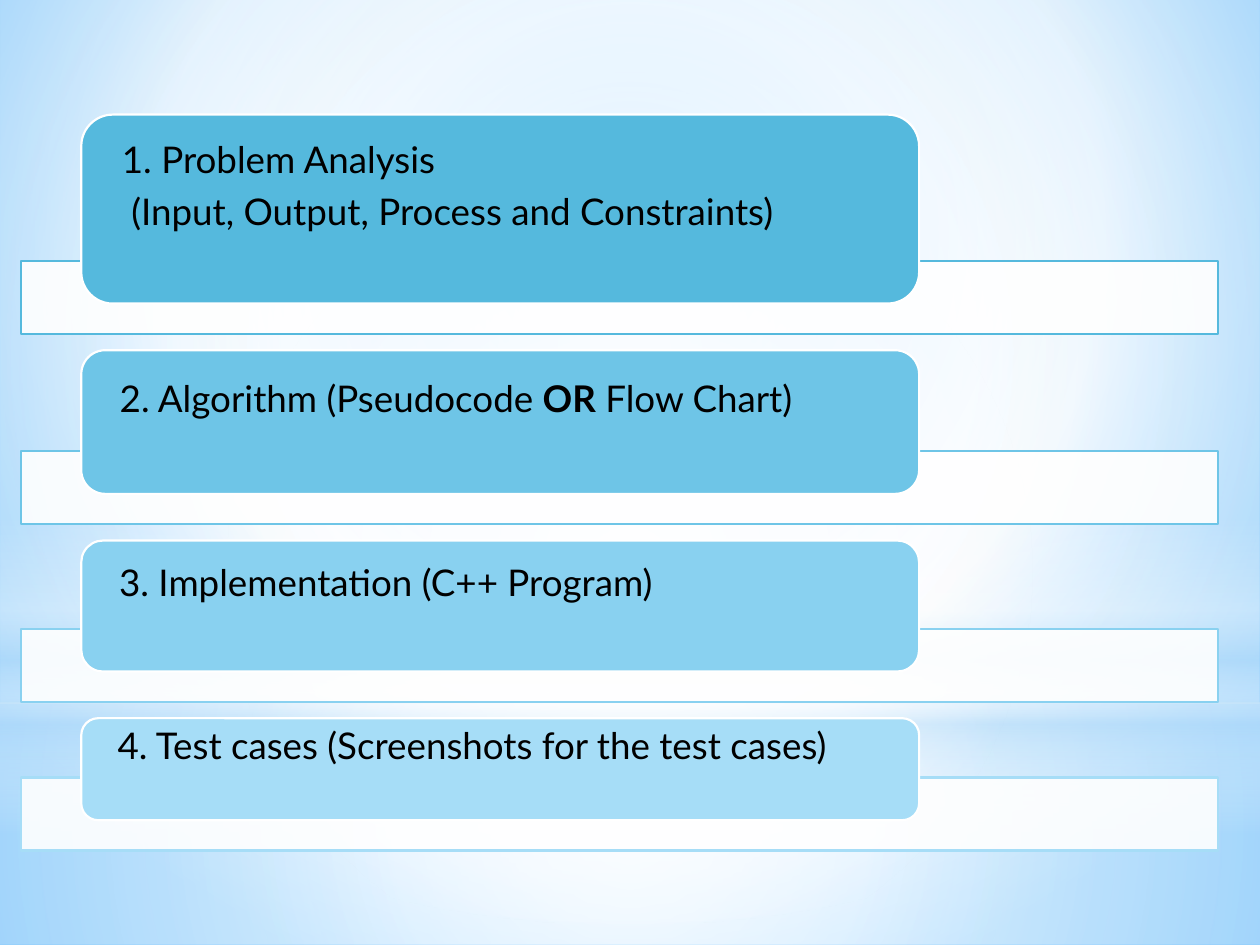
from dataclasses import dataclass

from lxml.etree import SubElement
from pptx import Presentation
from pptx.dml.color import RGBColor
from pptx.enum.shapes import MSO_SHAPE
from pptx.enum.text import MSO_ANCHOR, PP_ALIGN
from pptx.oxml.ns import qn
from pptx.util import Inches, Pt


@dataclass(frozen=True)
class Theme:
    font: str = "Lato"
    size: float = 21
    space_after: float = 7.35
    line_width: float = 1.25
    text: str = "000000"
    white: str = "FFFFFF"
    haze: str = "B4DCFA"
    sky: str = "9ED5FF"
    deep_sky: str = "5BB9FF"
    steps: tuple = ("55B9DD", "6EC5E7", "89D1F0", "A6DDF7")


THEME = Theme()
CENTER = (50, 50, 50, 50)
STEPS = [
    (1.5, [[("1. Problem Analysis", False)],
           [(" (Input, Output, Process and Constraints)", False)]]),
    (1.14, [[("2. Algorithm (Pseudocode ", False), ("OR", True), (" Flow Chart)", False)]]),
    (1.04, [[("3. Implementation (C++ Program)", False)]]),
    (0.81, [[("4. Test cases (Screenshots for the test cases)", False)]]),
]


def set_alpha(color, percent):
    SubElement(color, qn("a:alpha"), val=str(percent * 1000))


def set_gradient(props, stops, focus=None, angle=0):
    grad = SubElement(props, qn("a:gradFill"), rotWithShape="1")
    props.replace(props.find(qn("a:solidFill")), grad)
    stop_list = SubElement(grad, qn("a:gsLst"))
    for pos, color, alpha in stops:
        stop = SubElement(stop_list, qn("a:gs"), pos=str(pos * 1000))
        set_alpha(SubElement(stop, qn("a:srgbClr"), val=color), alpha)
    if focus:
        circle = SubElement(grad, qn("a:path"), path="circle")
        sides = {side: str(value * 1000) for side, value in zip("ltrb", focus)}
        SubElement(circle, qn("a:fillToRect"), **sides)
    else:
        SubElement(grad, qn("a:lin"), ang=str(angle * 60000), scaled="0")


def add_box(s, kind, box, fill, line=None):
    sp = s.shapes.add_shape(kind, *(Inches(v) for v in box))
    sp.shadow.inherit = False
    sp.fill.solid()
    sp.fill.fore_color.rgb = RGBColor.from_string(fill)
    if line:
        sp.line.color.rgb = RGBColor.from_string(line)
        sp.line.width = Pt(THEME.line_width)
    else:
        sp.line.fill.background()
    return sp


def add_backdrop(s, width, height):
    t = THEME
    s.background.fill.solid()
    set_gradient(s.element.find(".//" + qn("p:bgPr")),
                 [(0, t.sky, 100), (60, t.white, 100), (100, t.deep_sky, 100)],
                 (20, 10, 20, 60))
    horizon = 5.58
    layers = [
        (MSO_SHAPE.RECTANGLE, (0, horizon, width, height - horizon), CENTER,
         [(0, t.white, 91), (37, t.white, 76), (100, t.haze, 79)]),
        (MSO_SHAPE.RECTANGLE, (0, 0, width, horizon), CENTER,
         [(0, t.white, 89), (48, t.white, 62), (100, t.haze, 79)]),
        (MSO_SHAPE.RECTANGLE, (0, 4.12, width, 2.5), None,
         [(0, t.white, 0), (29, t.white, 30), (45, t.haze, 40),
          (55, t.white, 26), (65, t.haze, 60), (100, t.white, 0)]),
        (MSO_SHAPE.OVAL, (0, 1.75, width, horizon), CENTER,
         [(0, t.white, 100), (56, t.white, 0)]),
    ]
    for kind, box, focus, stops in layers:
        sp = add_box(s, kind, box, t.white)
        set_gradient(sp.element.spPr, stops, focus, angle=90)


def add_step_text(sp, paragraphs):
    tf = sp.text_frame
    tf.word_wrap = True
    tf.vertical_anchor = MSO_ANCHOR.MIDDLE
    tf.margin_left = tf.margin_right = Inches(0.25)
    tf.margin_top, tf.margin_bottom = 0, Inches(0.34)
    for i, runs in enumerate(paragraphs):
        p = tf.add_paragraph() if i else tf.paragraphs[0]
        p.alignment = PP_ALIGN.LEFT
        p.line_spacing = 0.9
        p.space_after = Pt(THEME.space_after)
        for text, bold in runs:
            r = p.add_run()
            r.text = text
            r.font.name = THEME.font
            r.font.size = Pt(THEME.size)
            r.font.bold = bold
            r.font.color.rgb = RGBColor.from_string(THEME.text)


def add_steps(s, left, top, width):
    bar_height, overlap, gap = 0.58, 0.34, 0.13
    indent, card_width = 0.05 * width, 0.7 * width
    for (height, paragraphs), color in zip(STEPS, THEME.steps):
        bar_top = top + height - overlap
        bar = add_box(s, MSO_SHAPE.RECTANGLE, (left, bar_top, width, bar_height),
                      THEME.white, color)
        set_alpha(bar.element.spPr.find(qn("a:solidFill"))[0], 90)
        card = add_box(s, MSO_SHAPE.ROUNDED_RECTANGLE,
                       (left + indent, top, card_width, height), color, THEME.white)
        add_step_text(card, paragraphs)
        top = bar_top + bar_height + gap


def main():
    prs = Presentation()
    prs.slide_width, prs.slide_height = Inches(10), Inches(7.5)
    s = prs.slides.add_slide(prs.slide_layouts[6])
    add_backdrop(s, 10, 7.5)
    add_steps(s, 0.17, 0.91, 9.5)
    prs.save("out.pptx")


if __name__ == "__main__":
    main()
